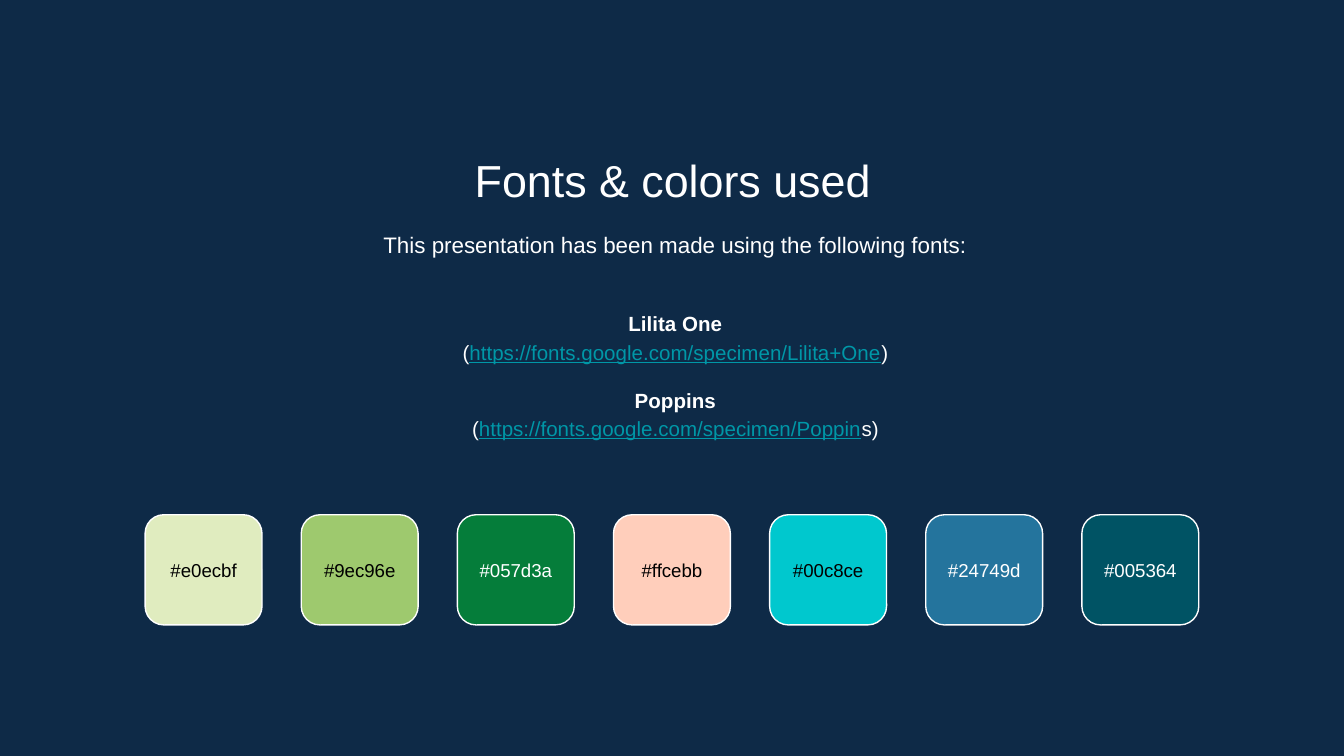
import pptx
import pptx.dml.color
import pptx.enum.shapes
import pptx.enum.text
import pptx.util

Inches = pptx.util.Inches
Pt = pptx.util.Pt
RGBColor = pptx.dml.color.RGBColor

NAVY = RGBColor(0x0E, 0x2A, 0x47)
WHITE = RGBColor(0xFF, 0xFF, 0xFF)
BLACK = RGBColor(0x00, 0x00, 0x00)
LINK_TEAL = RGBColor(0x00, 0x97, 0xA7)


def add_text_box(slide, left, top, width, height, anchor):
    """Add an empty wrapping text box and return its text frame."""
    text_box = slide.shapes.add_textbox(
        Inches(left), Inches(top), Inches(width), Inches(height))
    frame = text_box.text_frame
    frame.word_wrap = True
    frame.vertical_anchor = anchor
    frame.margin_left = frame.margin_right = Inches(0.1)
    frame.margin_top = frame.margin_bottom = Inches(0.1)
    return frame


def format_paragraph(paragraph, size, color, bold=False, line_spacing=1.0):
    paragraph.alignment = pptx.enum.text.PP_ALIGN.CENTER
    paragraph.line_spacing = line_spacing
    paragraph.font.name = "Arial"
    paragraph.font.size = Pt(size)
    paragraph.font.bold = bold
    paragraph.font.color.rgb = color


TOP = pptx.enum.text.MSO_ANCHOR.TOP
MIDDLE = pptx.enum.text.MSO_ANCHOR.MIDDLE

# Slide in 16:9 format
presentation = pptx.Presentation()
presentation.slide_width = Inches(10)
presentation.slide_height = Inches(10) * 9 // 16
slide = presentation.slides.add_slide(presentation.slide_layouts[6])
slide.background.fill.solid()
slide.background.fill.fore_color.rgb = NAVY

# Title and introduction
title = add_text_box(slide, 1.15, 1.04, 7.71, 0.53, TOP).paragraphs[0]
title.text = "Fonts & colors used"
format_paragraph(title, 24, WHITE)

introduction = add_text_box(slide, 1.17, 1.59, 7.71, 0.48, TOP).paragraphs[0]
introduction.text = "This presentation has been made using the following fonts:"
format_paragraph(introduction, 12, WHITE, line_spacing=1.15)

# Font names with their addresses: name, underlined part, closing part
fonts_used = [
    ("Lilita One", "https://fonts.google.com/specimen/Lilita+One", ")"),
    ("Poppins", "https://fonts.google.com/specimen/Poppin", "s)"),
]
font_frame = add_text_box(slide, 1.17, 2.1, 7.71, 1.37, MIDDLE)
for index, (font_name, address, closing) in enumerate(fonts_used):
    name_paragraph = font_frame.add_paragraph() if index else font_frame.paragraphs[0]
    name_paragraph.text = font_name
    format_paragraph(name_paragraph, 11, WHITE, bold=True, line_spacing=1.15)
    if index:
        name_paragraph.space_before = Pt(10.6)

    address_paragraph = font_frame.add_paragraph()
    format_paragraph(address_paragraph, 11, WHITE, line_spacing=1.15)
    for text in ("(", address, closing):
        run = address_paragraph.add_run()
        run.text = text
        if text == address:
            run.font.underline = True
            run.font.color.rgb = LINK_TEAL

# Colour swatches: fill and label colour, evenly spread between two ends
swatches = [
    (RGBColor(0xE0, 0xEC, 0xBF), BLACK),
    (RGBColor(0x9E, 0xC9, 0x6E), BLACK),
    (RGBColor(0x05, 0x7D, 0x3A), WHITE),
    (RGBColor(0xFF, 0xCE, 0xBB), BLACK),
    (RGBColor(0x00, 0xC8, 0xCE), BLACK),
    (RGBColor(0x24, 0x74, 0x9D), WHITE),
    (RGBColor(0x00, 0x53, 0x64), WHITE),
]
FIRST_LEFT, LAST_LEFT, SWATCH_WIDTH = 1.08, 8.05, 0.87
swatch_pitch = (LAST_LEFT - FIRST_LEFT) / (len(swatches) - 1)
for index, (fill_color, label_color) in enumerate(swatches):
    left = FIRST_LEFT + index * swatch_pitch
    swatch = slide.shapes.add_shape(
        pptx.enum.shapes.MSO_SHAPE.ROUNDED_RECTANGLE,
        Inches(left), Inches(3.83), Inches(SWATCH_WIDTH), Inches(0.82))
    swatch.shadow.inherit = False
    swatch.adjustments[0] = 0.17
    swatch.fill.solid()
    swatch.fill.fore_color.rgb = fill_color
    swatch.line.color.rgb = WHITE
    swatch.line.width = Pt(0.75)

    label = add_text_box(slide, left, 4, SWATCH_WIDTH, 0.48, MIDDLE).paragraphs[0]
    label.text = f"#{fill_color}".lower()
    format_paragraph(label, 10, label_color)

presentation.save("out.pptx")
